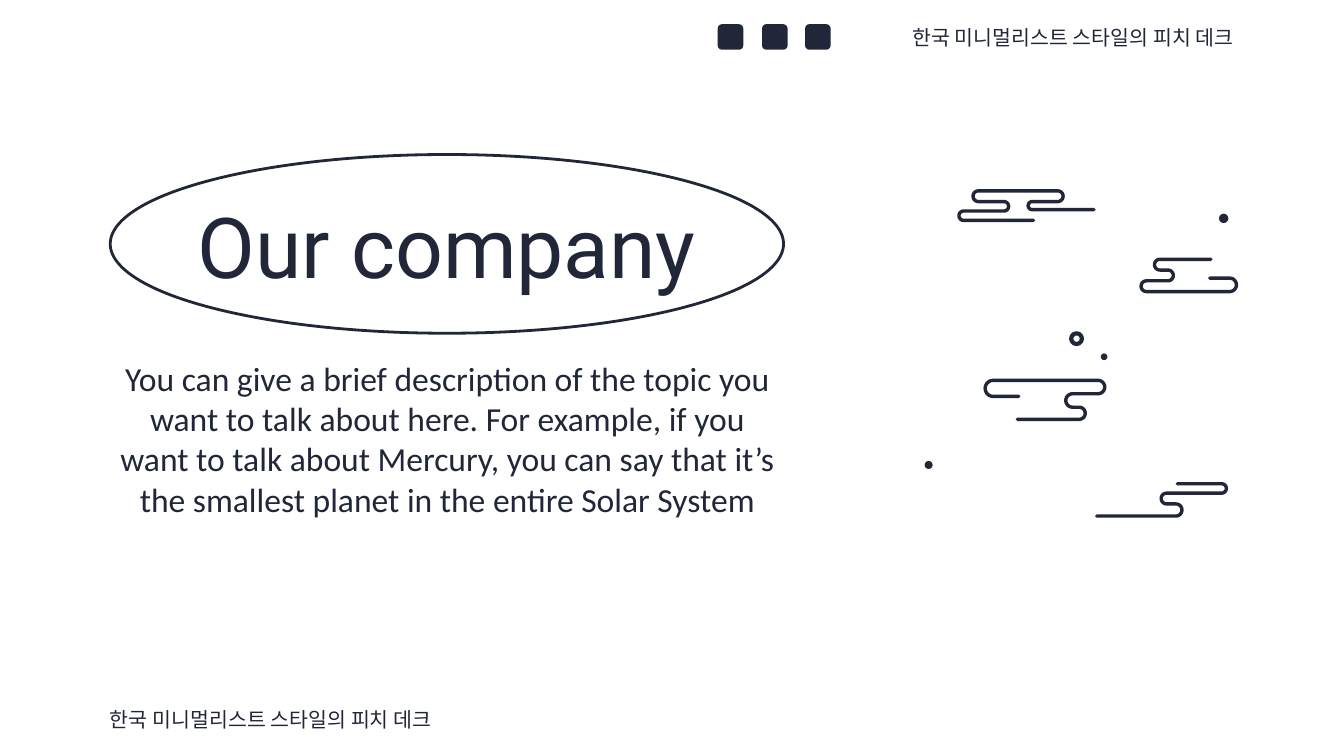
import math
from lxml import etree
from pptx import Presentation
from pptx import util as u
from pptx.dml.color import RGBColor
from pptx.enum import shapes, text

INK = "212739"
DECK_NAME = "한국 미니멀리스트 스타일의 피치 데크"


def color(hex_value):
    return RGBColor.from_string(hex_value)


def write(shape, box, words, font_name, size, align, anchor):
    """Place a text shape and fill it with one formatted paragraph."""
    shape.left, shape.top, shape.width, shape.height = map(u.Inches, box)
    frame = shape.text_frame
    frame_format = {"word_wrap": True, "auto_size": text.MSO_AUTO_SIZE.NONE,
                    "vertical_anchor": anchor}
    for side in ("left", "top", "right", "bottom"):
        frame_format["margin_" + side] = u.Inches(0.1)
    for name, value in frame_format.items():
        setattr(frame, name, value)
    frame.text = words
    paragraph = frame.paragraphs[0]
    paragraph_format = {"alignment": align, "line_spacing": 1.0, "space_before": u.Pt(0)}
    for name, value in paragraph_format.items():
        setattr(paragraph, name, value)
    font = paragraph.runs[0].font
    for name, value in {"name": font_name, "size": u.Pt(size), "bold": False}.items():
        setattr(font, name, value)
    font.color.rgb = color(INK)


# Widescreen 16:9 slide
presentation = Presentation()
presentation.slide_width = u.Inches(10)
presentation.slide_height = u.Inches(10 * 9 / 16)
slide = presentation.slides.add_slide(presentation.slide_layouts[0])
slide.background.fill.solid()
slide.background.fill.fore_color.rgb = color("FFFFFF")

# Title and description
write(slide.shapes.title, (0.82, 1.36, 5.01, 0.92), "Our company", "Roboto", 45,
      text.PP_ALIGN.CENTER, text.MSO_ANCHOR.MIDDLE)
write(slide.placeholders[1], (0.78, 2.56, 5.1, 1.84),
      "You can give a brief description of the topic you want to talk about here. "
      "For example, if you want to talk about Mercury, you can say that it’s "
      "the smallest planet in the entire Solar System",
      "Calibri", 18, text.PP_ALIGN.CENTER, text.MSO_ANCHOR.TOP)

# Outlined ellipses: title frame and ring among the clouds
for box, line_width in (((0.82, 1.15, 5.01, 1.33), 1.5), ((7.97, 2.48, 0.08, 0.08), 2.25)):
    ellipse = slide.shapes.add_shape(shapes.MSO_SHAPE.OVAL, *map(u.Inches, box))
    ellipse.shadow.inherit = False
    ellipse.fill.background()
    ellipse.line.color.rgb = color(INK)
    ellipse.line.width = u.Pt(line_width)

# Clouds: a start point, then the (x, y) where each straight row ends;
# rows are joined by half circles
clouds = [
    ((7.69, 1.64), [(7.17, 1.64), (7.47, 1.57), (7.28, 1.5), (7.87, 1.42),
                    (7.68, 1.5), (8.14, 1.56)]),
    ((9.01, 1.93), [(8.63, 1.93), (8.69, 2.01), (8.53, 2.09), (9.15, 2.17), (9, 2.07)]),
    ((7.58, 2.95), [(7.39, 2.95), (8.17, 2.83), (7.98, 2.93), (8.03, 3.03), (7.57, 3.12)]),
    ((8.76, 3.6), [(9.09, 3.6), (8.68, 3.67), (8.75, 3.75), (8.16, 3.84)]),
]
TURN_STEPS = 12
for start, rows in clouds:
    points = [start]
    for (x, y), (next_x, next_y) in zip(rows, rows[1:]):
        direction = math.copysign(1, x - points[-1][0])
        radius = (next_y - y) / 2
        for step in range(TURN_STEPS + 1):
            angle = math.pi * step / TURN_STEPS
            points.append((x + direction * abs(radius) * math.sin(angle),
                           y + radius * (1 - math.cos(angle))))
    points.append(rows[-1])
    points = [(u.Inches(x), u.Inches(y)) for x, y in points]
    builder = slide.shapes.build_freeform(*points[0])
    builder.add_line_segments(points[1:], close=False)
    cloud = builder.convert_to_shape()
    cloud.shadow.inherit = False
    cloud.fill.background()
    cloud.line.color.rgb = color(INK)
    cloud.line.width = u.Pt(1.8)
    line = cloud.line._get_or_add_ln()
    line.set("cap", "rnd")
    etree.SubElement(line, line.tag.replace("}ln", "}round"))

# Solid dots, and plain squares in the social icon row
dot, square = shapes.MSO_SHAPE.OVAL, shapes.MSO_SHAPE.ROUNDED_RECTANGLE
solids = [(dot, 9.07, 1.59, 0.07), (dot, 8.19, 2.63, 0.05), (dot, 6.88, 3.43, 0.06)]
solids += [(square, left, 0.18, 0.19) for left in (5.34, 5.67, 5.99)]
for kind, left, top, size in solids:
    solid = slide.shapes.add_shape(kind, *map(u.Inches, (left, top, size, size)))
    solid.shadow.inherit = False
    solid.fill.solid()
    solid.fill.fore_color.rgb = color(INK)
    solid.line.fill.background()

# Deck name in header and footer
for left, top, align in ((6.35, 0.12, text.PP_ALIGN.RIGHT), (0.72, 5.19, text.PP_ALIGN.LEFT)):
    label = slide.shapes.add_textbox(0, 0, 0, 0)
    write(label, (left, top, 2.93, 0.32), DECK_NAME, "League Spartan", 11,
          align, text.MSO_ANCHOR.MIDDLE)

presentation.save("out.pptx")
